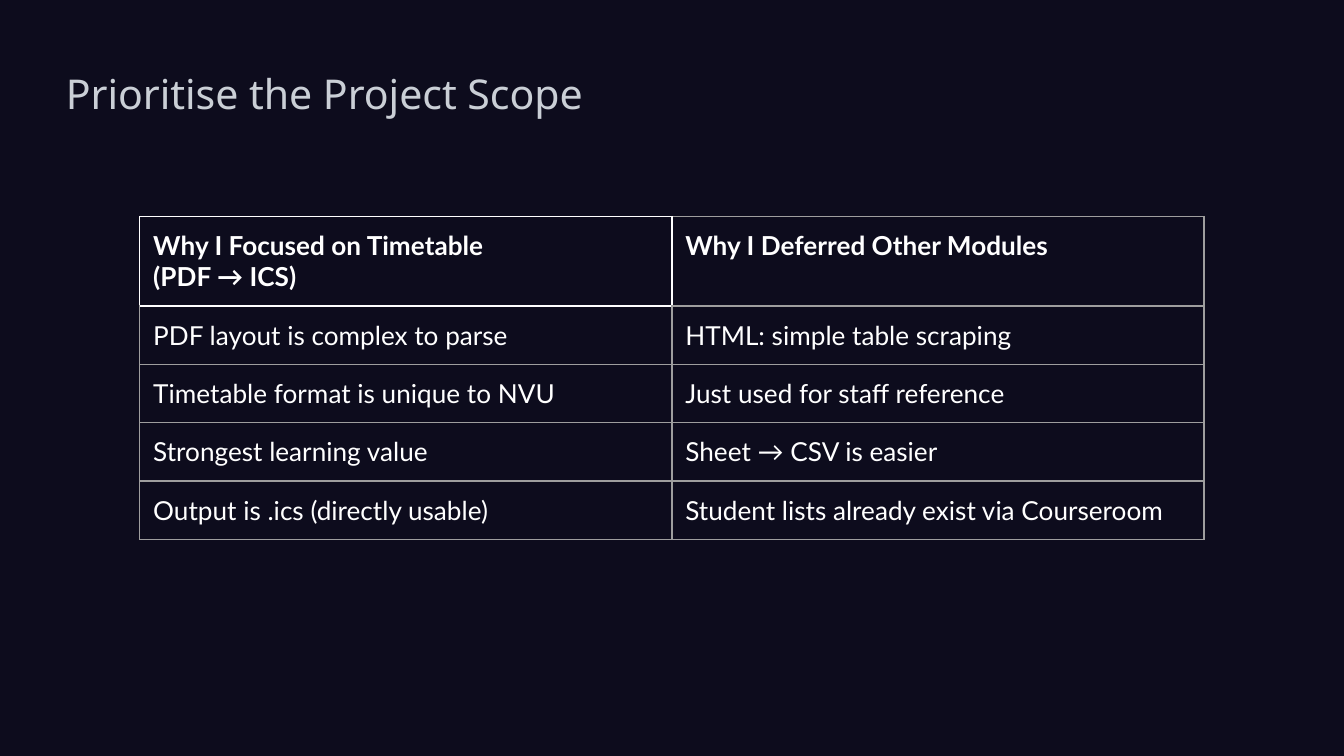
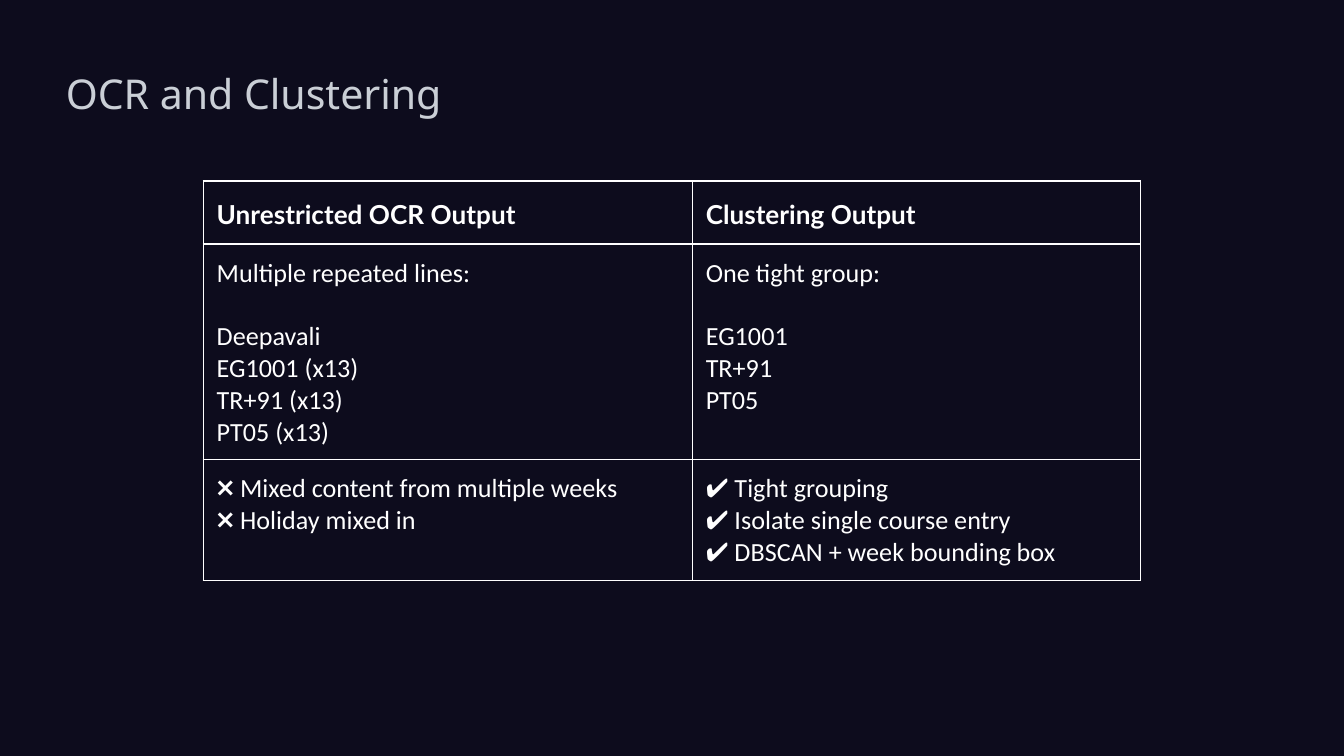
from lxml.etree import SubElement
from pptx import Presentation
from pptx.dml.color import RGBColor
from pptx.enum.text import MSO_ANCHOR
from pptx.oxml.ns import qn
from pptx.util import Pt

NIGHT = RGBColor(0x0D, 0x0C, 0x1D)
SILVER = RGBColor(0xCA, 0xCF, 0xD6)
WHITE = RGBColor(0xFF, 0xFF, 0xFF)
GREY = RGBColor(0x9E, 0x9E, 0x9E)

HEAD = "Noto Sans"
LATO = "Lato"
BODY = "Calibri"
PAD = Pt(7.2)

SCOPE = [
    ["Why I Focused on Timetable\n(PDF → ICS)", "Why I Deferred Other Modules"],
    ["PDF layout is complex to parse", "HTML: simple table scraping"],
    ["Timetable format is unique to NVU", "Just used for staff reference"],
    ["Strongest learning value", "Sheet → CSV is easier"],
    ["Output is .ics (directly usable)", "Student lists already exist via Courseroom"],
]
OUTPUT = [
    ["Unrestricted OCR Output", "Clustering Output"],
    ["Multiple repeated lines:\nDeepavali\nEG1001 (x13)\nTR+91 (x13)\nPT05 (x13)",
     "One tight group:\nEG1001\nTR+91\nPT05"],
    ["❌ Mixed content from multiple weeks\n❌ Holiday mixed in",
     "✔️ Tight grouping\n✔️ Isolate single course entry\n✔️ DBSCAN + week bounding box"],
]


def add_run(para, text, font, size, color, bold=False):
    run = para.add_run()
    run.text = text
    run.font.name = font
    run.font.size = Pt(size)
    run.font.bold = bold
    run.font.color.rgb = color


def add_page(deck, title):
    page = deck.slides.add_slide(deck.slide_layouts[6])
    page.background.fill.solid()
    page.background.fill.fore_color.rgb = NIGHT
    box = page.shapes.add_textbox(Pt(31.7), Pt(27.4), Pt(602.6), Pt(44.6))
    frame = box.text_frame
    frame.word_wrap = True
    frame.vertical_anchor = MSO_ANCHOR.MIDDLE
    frame.margin_left = frame.margin_right = Pt(3.6)
    frame.margin_top = frame.margin_bottom = Pt(1.8)
    add_run(frame.paragraphs[0], title, HEAD, 22, SILVER)
    return page


def set_edges(cell, color, **other):
    props = cell._tc.get_or_add_tcPr()
    for spot, side in enumerate("LRTB"):
        line = SubElement(props, qn(f"a:ln{side}"), w=str(Pt(0.75)))
        props.insert(spot, line)
        fill = SubElement(line, qn("a:solidFill"))
        SubElement(fill, qn("a:srgbClr"), val=str(other.get(side, color)))


def fill_cell(cell, text, font, bold):
    cell.fill.background()
    cell.margin_left = cell.margin_right = PAD
    cell.margin_top = cell.margin_bottom = PAD
    frame = cell.text_frame
    for num, line in enumerate(text.split("\n")):
        para = frame.add_paragraph() if num else frame.paragraphs[0]
        add_run(para, line, font, 14, WHITE, bold)


def add_grid(page, data, left, top, widths, heights, full, font):
    frame = page.shapes.add_table(
        len(data), len(widths), Pt(left), Pt(top), Pt(sum(widths)), Pt(full))
    grid = frame.table
    grid.first_row = grid.horz_banding = False
    for col, width in zip(grid.columns, widths):
        col.width = Pt(width)
    for row, height in zip(grid.rows, heights):
        row.height = Pt(height)
    frame.height = Pt(full)
    for num, row in enumerate(data):
        for col, text in enumerate(row):
            fill_cell(grid.cell(num, col), text, font if num else LATO, num == 0)
    return grid


def build_scope(deck):
    page = add_page(deck, "Prioritise the Project Scope")
    grid = add_grid(page, SCOPE, 74.9, 115.9, [285.1] * 2, [30.2] * 5, 172.8, LATO)
    edges = {
        (0, 0): dict.fromkeys("LRTB", WHITE),
        (0, 1): {"L": WHITE},
        (1, 0): {"T": WHITE},
    }
    for num in range(len(SCOPE)):
        for col in range(2):
            set_edges(grid.cell(num, col), GREY, **edges.get((num, col), {}))


def build_output(deck):
    page = add_page(deck, "OCR and Clustering")
    grid = add_grid(page, OUTPUT, 108.9, 97, [262, 239.9],
                    [31.7, 58.3, 31.7], 212.4, BODY)
    for cell in grid.iter_cells():
        set_edges(cell, WHITE)
    for col in range(2):
        head = grid.cell(0, col)
        head.vertical_anchor = MSO_ANCHOR.MIDDLE
        head.text_frame.paragraphs[0].line_spacing = 1.15
        grid.cell(1, col).text_frame.paragraphs[0].space_after = Pt(17)


def main():
    deck = Presentation()
    deck.slide_width = Pt(720)
    deck.slide_height = Pt(405)
    build_scope(deck)
    build_output(deck)
    deck.save("out.pptx")


if __name__ == "__main__":
    main()
